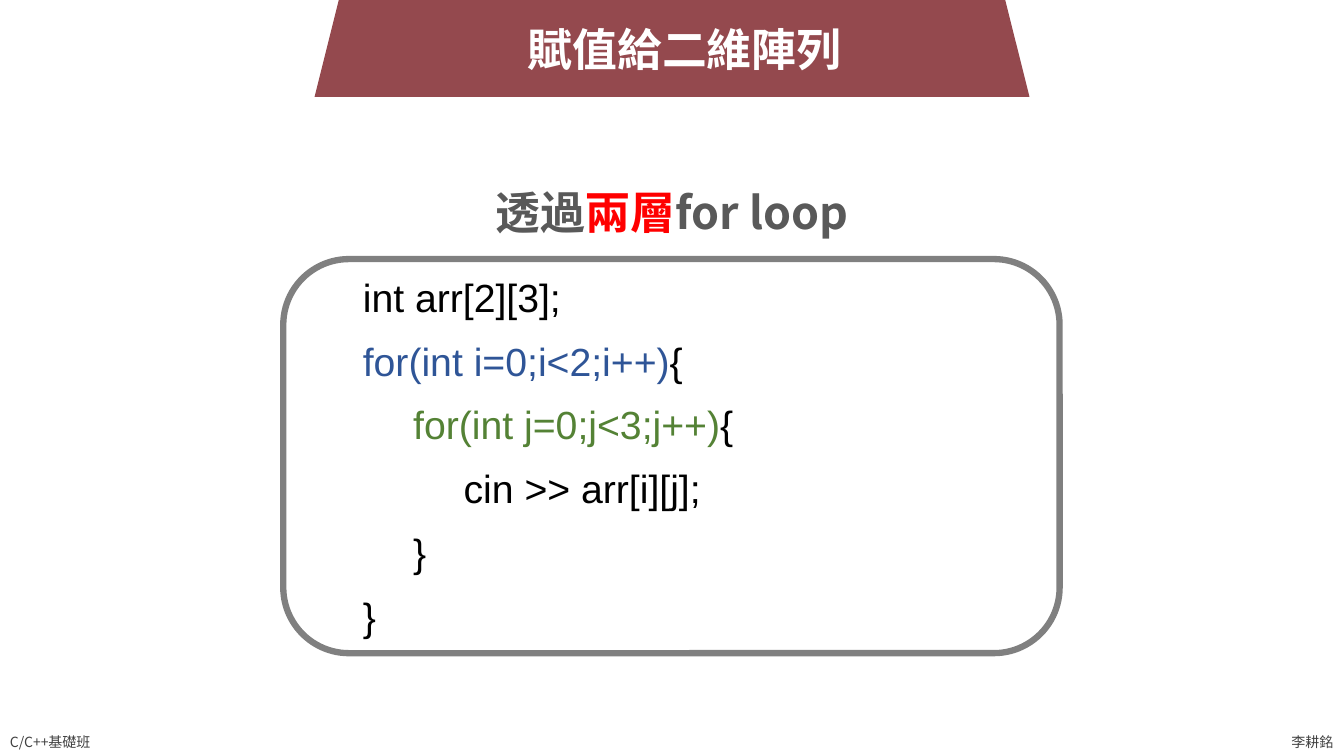
from dataclasses import dataclass

from pptx import Presentation
from pptx.dml.color import RGBColor
from pptx.enum.shapes import MSO_SHAPE as Preset
from pptx.enum.text import MSO_ANCHOR as Anchor, MSO_AUTO_SIZE as AutoSize, PP_ALIGN as Align
from pptx.oxml.ns import qn
from pptx.oxml.xmlchemy import OxmlElement
from pptx.util import Inches, Pt


@dataclass(frozen=True)
class Theme:
    heading_font: str = "Noto Sans CJK TC"
    code_font: str = "Arial"
    banner: str = "94494E"
    white: str = "FFFFFF"
    frame: str = "808080"
    footer: str = "404040"
    body: str = "595959"
    accent: str = "FF0000"
    code: str = "000000"
    outer_loop: str = "2F5597"
    inner_loop: str = "548235"
    heading_size: int = 32
    code_size: int = 28
    footer_size: int = 10


THEME = Theme()

CODE_LINES = [
    [("int arr[2][3];", THEME.code)],
    [("for(int i=0;i<2;i++)", THEME.outer_loop), ("{", THEME.code)],
    [("\tfor(int j=0;j<3;j++)", THEME.inner_loop), ("{", THEME.code)],
    [("\t\tcin >> arr[i][j];", THEME.code)],
    [("\t}", THEME.code)],
    [("}", THEME.code)],
]


def write(frame, lines, *, size, font=THEME.heading_font, bold=False, align=Align.LEFT,
          anchor=Anchor.TOP, wrap=True, space_before=0, line_spacing=1.0, indent=0):
    """Fill a text frame; each line is a list of (text, colour) runs."""
    frame.word_wrap = wrap
    frame.auto_size = AutoSize.NONE
    frame.vertical_anchor = anchor
    for index, line in enumerate(lines):
        paragraph = frame.add_paragraph() if index else frame.paragraphs[0]
        paragraph.alignment = align
        paragraph.line_spacing = line_spacing
        paragraph.space_before = Pt(space_before if index else 0)
        if indent:
            properties = paragraph._p.get_or_add_pPr()
            properties.set("marL", str(Inches(indent)))
            properties.set("indent", "0")
        for text, color in line:
            run = paragraph.add_run()
            run.text = text
            run.font.name = font
            run.font.size = Pt(size)
            run.font.bold = bold
            run.font.color.rgb = RGBColor.from_string(color)
            east_asian = OxmlElement("a:ea")
            east_asian.set("typeface", font)
            run.font._element.find(qn("a:latin")).addnext(east_asian)


def add_panel(slide, preset, box, fill, line=None, line_width=0):
    panel = slide.shapes.add_shape(preset, *map(Inches, box))
    panel.shadow.inherit = False
    panel.fill.solid()
    panel.fill.fore_color.rgb = RGBColor.from_string(fill)
    if line:
        panel.line.color.rgb = RGBColor.from_string(line)
        panel.line.width = Pt(line_width)
    else:
        panel.line.fill.background()
    return panel


def add_label(slide, box, runs, **text_format):
    label = slide.shapes.add_textbox(*map(Inches, box))
    write(label.text_frame, [runs], **text_format)


def place_title(slide, box, text):
    title = slide.shapes.title
    title.left, title.top, title.width, title.height = map(Inches, box)
    write(title.text_frame, [[(text, THEME.white)]], size=THEME.heading_size,
          bold=True, align=Align.CENTER, wrap=False)
    # Bring the title in front of the banner
    slide.shapes._spTree.append(title._element)


def main():
    deck = Presentation()
    deck.slide_width, deck.slide_height = Inches(13.33), Inches(7.5)
    slide = deck.slides.add_slide(deck.slide_layouts[5])

    # Footer
    add_label(slide, (0, 7.23, 1.07, 0.27), [("C/C++基礎班", THEME.footer)],
              size=THEME.footer_size, wrap=False)
    add_label(slide, (12.71, 7.23, 0.62, 0.27), [("李耕銘", THEME.footer)],
              size=THEME.footer_size, wrap=False, anchor=Anchor.MIDDLE)

    # Title banner
    add_panel(slide, Preset.TRAPEZOID, (3.12, -0.26, 7.09, 1.22), THEME.banner)
    place_title(slide, (5.12, 0.17, 3.34, 0.64), "賦值給二維陣列")

    # Lead-in
    add_label(slide, (4.66, 1.85, 4.01, 0.56),
              [("透過", THEME.body), ("兩層", THEME.accent), ("for loop", THEME.body)],
              size=THEME.heading_size, bold=True, align=Align.CENTER,
              anchor=Anchor.MIDDLE, line_spacing=0.9)

    # Code frame
    code_frame = add_panel(slide, Preset.ROUNDED_RECTANGLE, (2.81, 2.57, 7.7, 3.91),
                           THEME.white, THEME.frame, 4.5)
    write(code_frame.text_frame, CODE_LINES, size=THEME.code_size, font=THEME.code_font,
          anchor=Anchor.MIDDLE, space_before=12, indent=0.5)

    deck.save("out.pptx")


if __name__ == "__main__":
    main()
